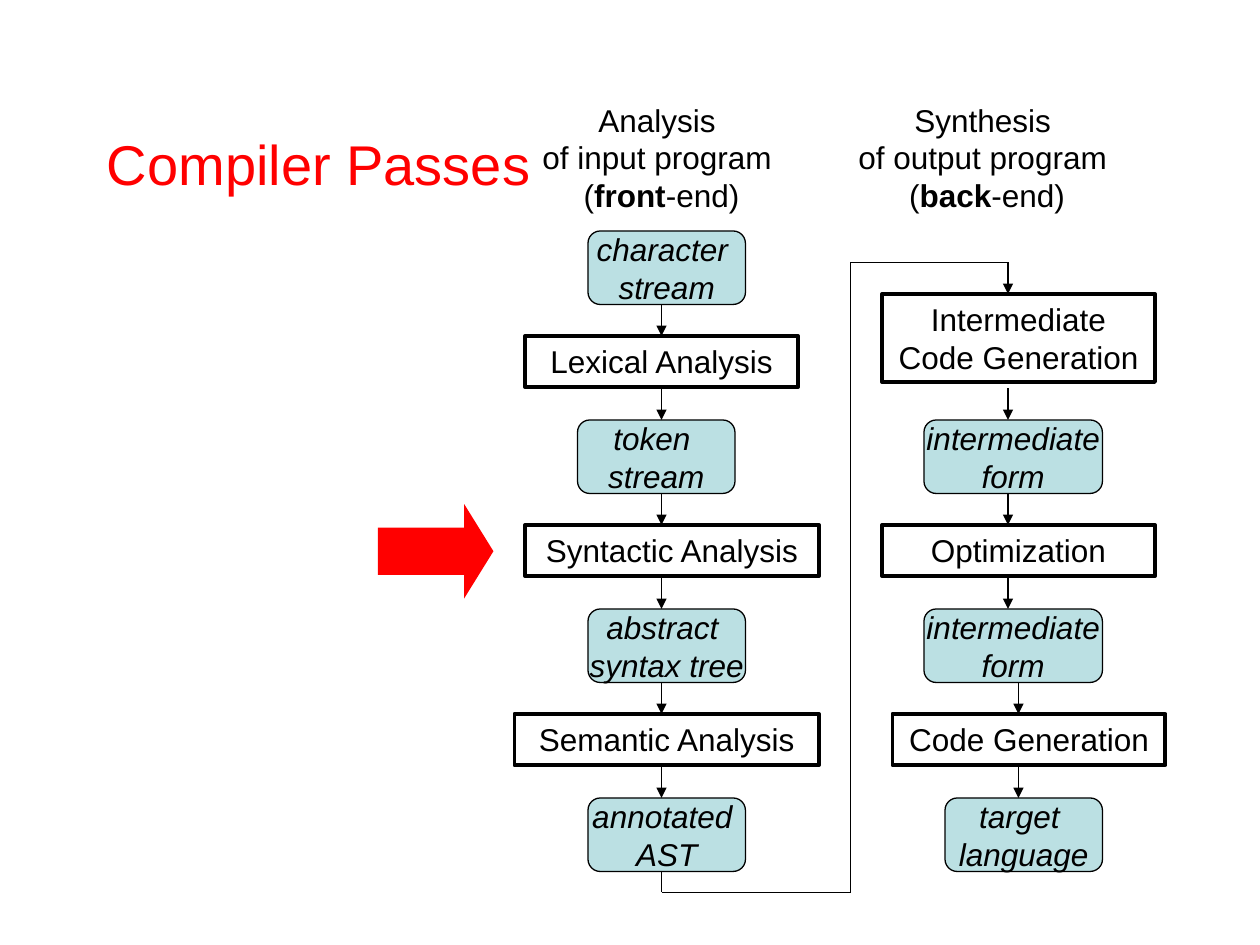
from dataclasses import dataclass
from itertools import pairwise

from lxml.etree import SubElement
from pptx import Presentation
from pptx.dml.color import RGBColor
from pptx.enum.shapes import MSO_CONNECTOR as Connector, MSO_SHAPE as Preset
from pptx.enum.text import MSO_ANCHOR as Anchor, MSO_AUTO_SIZE as AutoSize, PP_ALIGN as Align
from pptx.oxml.ns import qn
from pptx.util import Emu, Pt

PX = 9525  # 96 px to the inch
BLACK = RGBColor(0x00, 0x00, 0x00)
RED = RGBColor(0xFF, 0x00, 0x00)
PALE_TEAL = RGBColor(0xBB, 0xE0, 0xE3)

FORM_HEIGHT = 56
STEP_HEIGHT = 39
GAP = 24
FRONT_X, BACK_X, LATE_BACK_X = 504, 768, 776
TOP_SIDE, BOTTOM_SIDE = 0, 2

GROWING = {"word_wrap": True, "auto_size": AutoSize.SHAPE_TO_FIT_TEXT, "vertical_anchor": Anchor.TOP}
UNWRAPPED = {"word_wrap": False, "auto_size": AutoSize.NONE, "vertical_anchor": Anchor.MIDDLE}
CENTRED = {"word_wrap": True, "auto_size": AutoSize.NONE, "vertical_anchor": Anchor.MIDDLE}


@dataclass(frozen=True)
class Block:
    """A piece of text and its place; *stars* mark bold words."""
    text: str
    left: int
    top: int
    width: int
    height: int


@dataclass(frozen=True)
class Arrow:
    x: int
    top: int


def form(text: str, left: int, top: int, width: int = 120) -> Block:
    return Block(text, left, top, width, FORM_HEIGHT)


def step(text: str, left: int, top: int, width: int = 208, height: int = STEP_HEIGHT) -> Block:
    return Block(text, left, top, width, height)


TITLE = Block("Compiler Passes", 72, 64, 816, 120)
HEADINGS = [
    Block("Analysis \nof input program \n(*front*-end)", 400, 72, 208, 96),
    Block("Synthesis \nof output program \n(*back*-end)", 640, 72, 224, 96),
]
LEXICAL = step("Lexical Analysis", 400, 256)
STEPS = [
    LEXICAL,
    step("Syntactic Analysis", 400, 400, 224),
    step("Semantic Analysis", 392, 544, 232),
    step("Intermediate Code Generation", 672, 224, height=67),
    step("Optimization", 672, 400),
    step("Code Generation", 680, 544),
]
FORMS = [
    form("character \nstream", 448, 176),
    form("token \nstream", 440, 320),
    form("abstract \nsyntax tree", 448, 464),
    form("annotated \nAST", 448, 608),
    form("intermediate\nform", 704, 320, 136),
    form("intermediate\nform", 704, 464, 136),
    form("target \nlanguage", 720, 608),
]
INTO_LEXICAL, OUT_OF_LEXICAL = Arrow(FRONT_X, 232), Arrow(FRONT_X, 296)
ARROWS = [
    INTO_LEXICAL,
    OUT_OF_LEXICAL,
    *(Arrow(FRONT_X, top) for top in (376, 440, 520, 584)),
    *(Arrow(BACK_X, top) for top in (200, 296, 376, 440)),
    *(Arrow(LATE_BACK_X, top) for top in (520, 584)),
]
FRONT_TO_BACK = [(FRONT_X, 664), (FRONT_X, 680), (648, 680), (648, 200), (BACK_X, 200)]


def place(block: Block) -> list[Emu]:
    return [Emu(length * PX) for length in (block.left, block.top, block.width, block.height)]


def write(box, text: str, frame_format: dict, align=Align.CENTER, **font_format) -> None:
    frame = box.text_frame
    for name, value in frame_format.items():
        setattr(frame, name, value)
    for index, line in enumerate(text.split("\n")):
        para = frame.add_paragraph() if index else frame.paragraphs[0]
        para.alignment = align
        for part, words in enumerate(line.split("*")):
            span = para.add_run()
            span.text = words
            span.font.color.rgb = font_format.get("color", BLACK)
            values = {"name": "Arial", "size": Pt(font_format.get("size", 18)),
                      "bold": part % 2 == 1, "italic": font_format.get("italic", False)}
            for name, value in values.items():
                setattr(span.font, name, value)


def add_text(page, block: Block, frame_format: dict, **text_format) -> None:
    write(page.shapes.add_textbox(*place(block)), block.text, frame_format, **text_format)


def add_outlined(page, preset, block: Block, line_width: float):
    box = page.shapes.add_shape(preset, *place(block))
    box.shadow.inherit = False
    box.line.color.rgb = BLACK
    box.line.width = Pt(line_width)
    return box


def add_step(page, block: Block):
    box = add_outlined(page, Preset.RECTANGLE, block, 2.25)
    box.fill.background()
    write(box, block.text, GROWING)
    return box


def add_form(page, block: Block) -> None:
    box = add_outlined(page, Preset.ROUNDED_RECTANGLE, block, 0.75)
    box.fill.solid()
    box.fill.fore_color.rgb = PALE_TEAL
    write(box, block.text, UNWRAPPED, italic=True)


def add_line(page, start: tuple[int, int], end: tuple[int, int], pointed: bool = False):
    points = [Emu(length * PX) for length in (*start, *end)]
    line = page.shapes.add_connector(Connector.STRAIGHT, *points)
    line.line.color.rgb = BLACK
    line.line.width = Pt(0.75)
    if pointed:
        SubElement(line.line._get_or_add_ln(), qn("a:tailEnd"), type="triangle")
    SubElement(line._element.spPr, qn("a:effectLst"))
    return line


def add_current_pass_pointer(page) -> None:
    pointer = page.shapes.add_shape(Preset.RIGHT_ARROW, *place(Block("", 288, 384, 88, 72)))
    pointer.adjustments[0] = 0.5
    pointer.adjustments[1] = 0.31
    pointer.shadow.inherit = False
    pointer.fill.solid()
    pointer.fill.fore_color.rgb = RED
    pointer.line.fill.background()


def main() -> None:
    deck = Presentation()
    deck.slide_width, deck.slide_height = Emu(960 * PX), Emu(720 * PX)
    page = deck.slides.add_slide(deck.slide_layouts[6])

    add_text(page, TITLE, CENTRED, align=Align.LEFT, size=32, color=RED)
    for heading in HEADINGS:
        add_text(page, heading, GROWING)
    step_boxes = {block: add_step(page, block) for block in STEPS}
    for block in FORMS:
        add_form(page, block)

    lines = {arrow: add_line(page, (arrow.x, arrow.top), (arrow.x, arrow.top + GAP), pointed=True)
             for arrow in ARROWS}
    lines[INTO_LEXICAL].end_connect(step_boxes[LEXICAL], TOP_SIDE)
    lines[OUT_OF_LEXICAL].begin_connect(step_boxes[LEXICAL], BOTTOM_SIDE)
    for start, end in pairwise(FRONT_TO_BACK):
        add_line(page, start, end)

    add_current_pass_pointer(page)
    deck.save("out.pptx")


if __name__ == "__main__":
    main()
